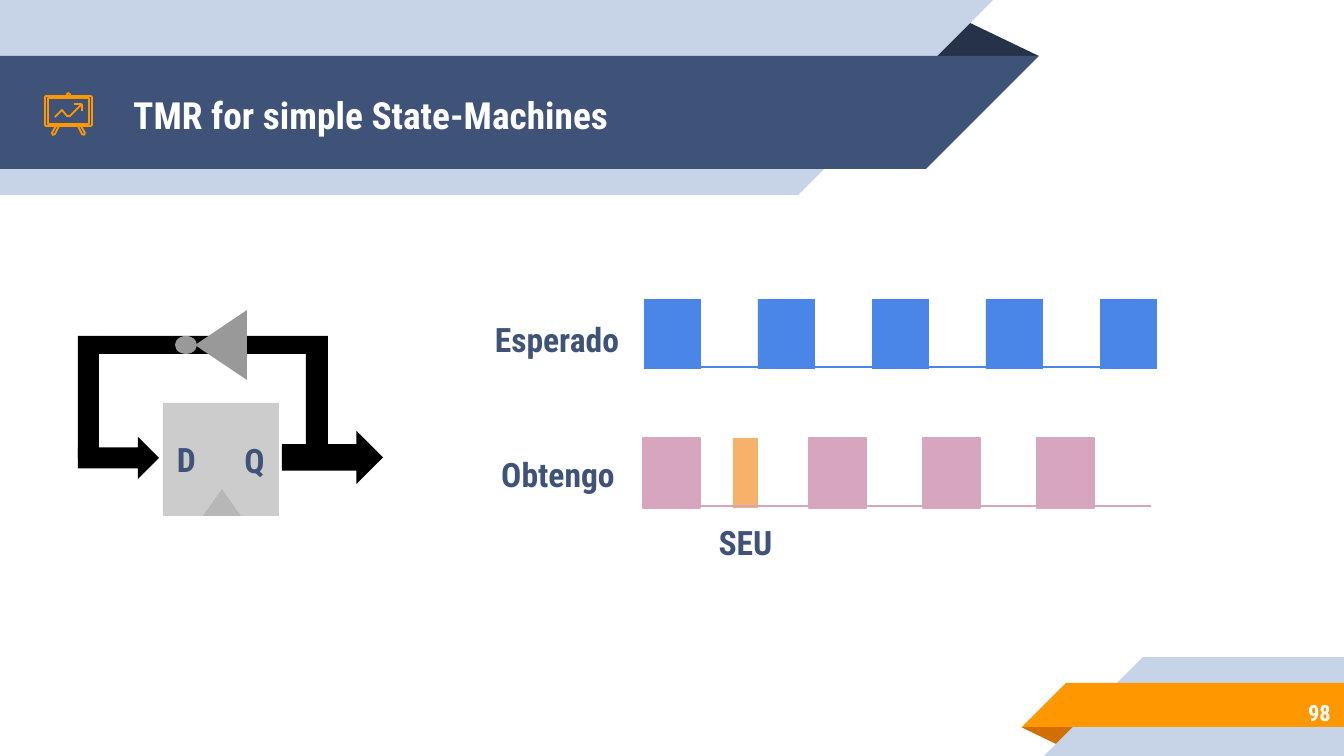
from dataclasses import dataclass

from pptx import Presentation
from pptx import util as u
from pptx.dml.color import RGBColor
from pptx.enum import shapes, text
from pptx.oxml.ns import qn

KIND = shapes.MSO_SHAPE
PX = 914400 / 134.4


def px(length):
    return u.Emu(round(length * PX))


@dataclass(frozen=True)
class Theme:
    font: str = "Roboto Condensed"
    title_size: int = 20
    label_size: int = 18
    number_size: int = 12
    white: str = "FFFFFF"
    navy: str = "3F5378"
    dark_navy: str = "263248"
    pale_blue: str = "C7D3E6"
    orange: str = "FF9800"
    dark_orange: str = "D26F00"
    black: str = "000000"
    register: str = "CCCCCC"
    clock: str = "B7B7B7"
    inverter: str = "999999"
    expected: str = "4A86E8"
    obtained: str = "D5A6BD"
    glitch: str = "F6B26B"


class Sketch:
    def __init__(self, page, theme):
        self.page = page
        self.theme = theme

    def shape(self, kind, left, top, width, height, color,
              outline=None, rotation=0, flip=False, adjust=None):
        item = self.page.shapes.add_shape(
            kind, px(left), px(top), px(width), px(height))
        item.shadow.inherit = False
        item.fill.solid()
        item.fill.fore_color.rgb = RGBColor.from_string(color)
        if outline:
            item.line.color.rgb = RGBColor.from_string(outline)
            item.line.width = u.Pt(0.75)
        else:
            item.line.fill.background()
        item.rotation = rotation
        if flip:
            item._element.spPr.find(qn("a:xfrm")).set("flipH", "1")
        if adjust is not None:
            item.adjustments[0] = adjust

    def rect(self, left, top, width, height, color, outline=None):
        self.shape(KIND.RECTANGLE, left, top, width, height, color, outline)

    def stroke(self, points, color, close=False):
        builder = self.page.shapes.build_freeform(*points[0], scale=PX)
        builder.add_line_segments(points[1:], close=close)
        item = builder.convert_to_shape()
        item.shadow.inherit = False
        item.fill.background()
        item.line.color.rgb = RGBColor.from_string(color)
        item.line.width = u.Pt(0.96)

    def level(self, start, end, y, color):
        item = self.page.shapes.add_connector(
            shapes.MSO_CONNECTOR.STRAIGHT, px(start), px(y), px(end), px(y))
        item.line.color.rgb = RGBColor.from_string(color)
        item.line.width = u.Pt(0.75)
        properties = item._element.spPr
        properties.append(properties.makeelement(qn("a:effectLst"), {}))

    def words(self, content, left, top, width, height, size, color, align):
        box = self.page.shapes.add_textbox(
            px(left), px(top), px(width), px(height))
        frame = box.text_frame
        frame.word_wrap = True
        frame.vertical_anchor = text.MSO_ANCHOR.MIDDLE
        frame.margin_left = frame.margin_right = u.Inches(0.1)
        frame.margin_top = frame.margin_bottom = u.Inches(0.1)
        para = frame.paragraphs[0]
        para.text = content
        para.alignment = align
        para.font.name = self.theme.font
        para.font.size = u.Pt(size)
        para.font.bold = True
        para.font.color.rgb = RGBColor.from_string(color)

    def label(self, content, left, top, width, height):
        self.words(content, left, top, width, height, self.theme.label_size,
                   self.theme.navy, text.PP_ALIGN.CENTER)


def draw_banner(sketch):
    theme = sketch.theme
    sketch.shape(KIND.ISOSCELES_TRIANGLE, 925, 19, 114, 37,
                 theme.dark_navy, adjust=0.324)
    for top, width, height, color in ((0, 798, 195, theme.pale_blue),
                                      (56, 926, 113, theme.navy)):
        sketch.rect(0, top, width, height, color)
        sketch.shape(KIND.RIGHT_TRIANGLE, width, top, height, height, color,
                     rotation=180, flip=True)
    sketch.words("TMR for simple State-Machines", 120, 58, 804, 113,
                 theme.title_size, theme.white, text.PP_ALIGN.LEFT)


def draw_footer(sketch):
    theme = sketch.theme
    sketch.shape(KIND.ISOSCELES_TRIANGLE, 1021, 727, 58, 19,
                 theme.dark_orange, rotation=180, adjust=0.324)
    for left, top, height, color in ((1143, 657, 99, theme.pale_blue),
                                     (1066, 683, 44, theme.orange)):
        sketch.rect(left, top, 1344 - left, height, color)
        sketch.shape(KIND.RIGHT_TRIANGLE, left - height, top, height, height,
                     color, flip=True)
    sketch.words("98", 1125, 689, 219, 47, theme.number_size,
                 theme.white, text.PP_ALIGN.RIGHT)


def draw_board_icon(sketch):
    frame = [(46, 96), (91, 96), (92, 97), (92, 125),
             (91, 126), (46, 126), (45, 125), (45, 97)]
    screen = [(48, 98), (89, 98), (89, 124), (48, 124)]
    knob = [(67, 96), (67, 94), (68, 93), (70, 94), (70, 96)]
    left_leg = [(56, 126), (52, 133), (53, 135), (55, 134), (59, 126)]
    right_leg = [(137 - x, y) for x, y in left_leg]
    trend = [(81, 105), (70, 116), (67, 116), (62, 110), (55, 117)]
    tip = [(74, 104), (81, 104), (82, 105), (82, 111)]
    for outline in (frame, screen):
        sketch.stroke(outline, sketch.theme.orange, close=True)
    for points in (knob, left_leg, right_leg, trend, tip):
        sketch.stroke(points, sketch.theme.orange)


def draw_circuit(sketch):
    theme = sketch.theme
    sketch.rect(163, 403, 116, 113, theme.register)
    sketch.shape(KIND.RIGHT_ARROW, 282, 431, 101, 53, theme.black)
    sketch.rect(306, 347, 22, 101, theme.black)
    sketch.rect(99, 336, 229, 18, theme.black)
    sketch.shape(KIND.RIGHT_ARROW, 78, 437, 81, 42, theme.black)
    sketch.rect(78, 336, 21, 122, theme.black)
    sketch.shape(KIND.ISOSCELES_TRIANGLE, 203, 489, 38, 27, theme.clock)
    sketch.label("D", 163, 441, 47, 36)
    sketch.label("Q", 231, 437, 47, 47)
    sketch.shape(KIND.ISOSCELES_TRIANGLE, 186, 319, 70, 52,
                 theme.inverter, rotation=270)
    sketch.shape(KIND.OVAL, 175, 336, 22, 18, theme.inverter)


def draw_waves(sketch):
    theme = sketch.theme
    period, pulse, height = 114, 57, 70
    for index in range(5):
        left = 644 + period * index
        sketch.rect(left, 299, pulse, height, theme.expected)
        if index < 4:
            sketch.level(left + pulse, left + period, 367, theme.expected)

    sketch.rect(733, 438, 25, height, theme.glitch)
    sketch.level(700, 758, 506, theme.obtained)
    sketch.level(751, 809, 506, theme.obtained)
    for left in (643, *(809 + period * index for index in range(3))):
        sketch.rect(left, 438, pulse, height, theme.obtained, theme.obtained)
        if left > 643:
            sketch.level(left + pulse, left + period, 506, theme.obtained)

    sketch.label("SEU", 695, 524, 101, 36)
    sketch.label("Obtengo", 487, 456, 142, 36)
    sketch.label("Esperado", 477, 321, 160, 36)


def main():
    deck = Presentation()
    deck.slide_width, deck.slide_height = px(1344), px(756)
    page = deck.slides.add_slide(deck.slide_layouts[6])
    sketch = Sketch(page, Theme())
    draw_banner(sketch)
    draw_footer(sketch)
    draw_board_icon(sketch)
    draw_circuit(sketch)
    draw_waves(sketch)
    deck.save("out.pptx")


if __name__ == "__main__":
    main()
